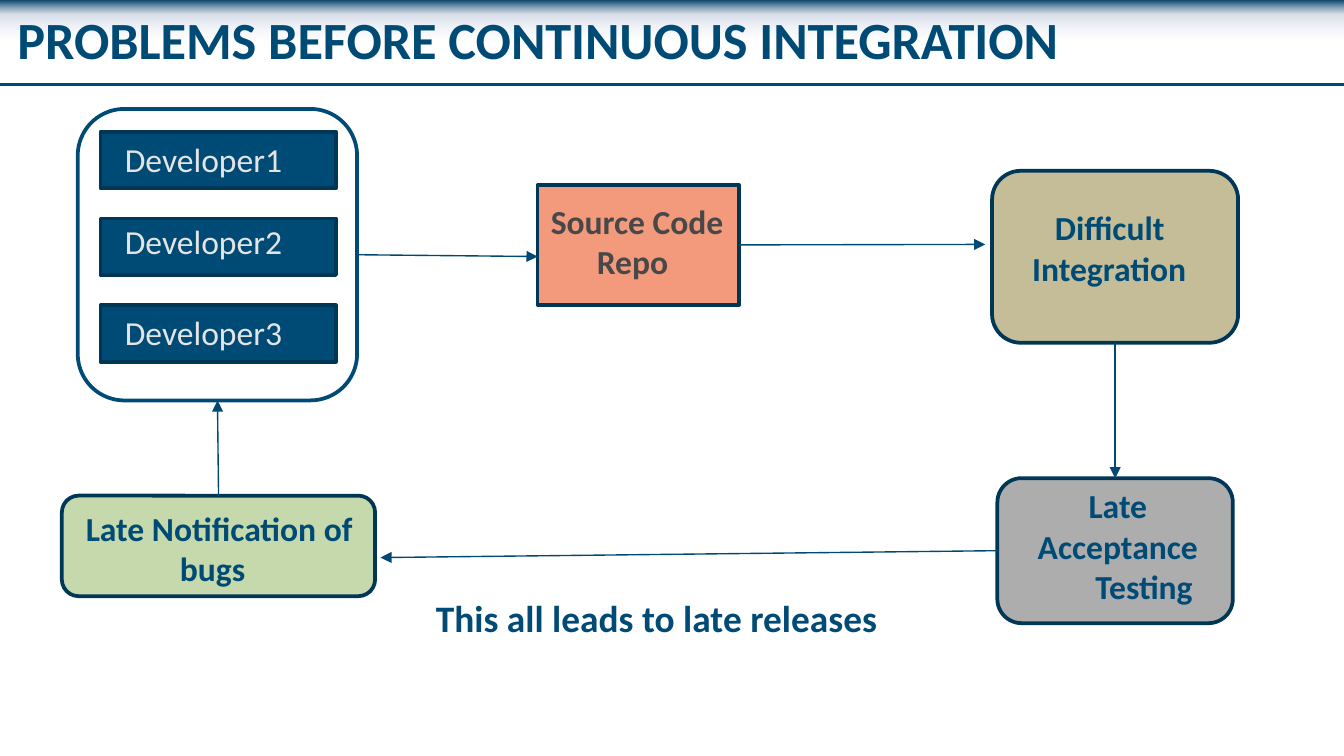
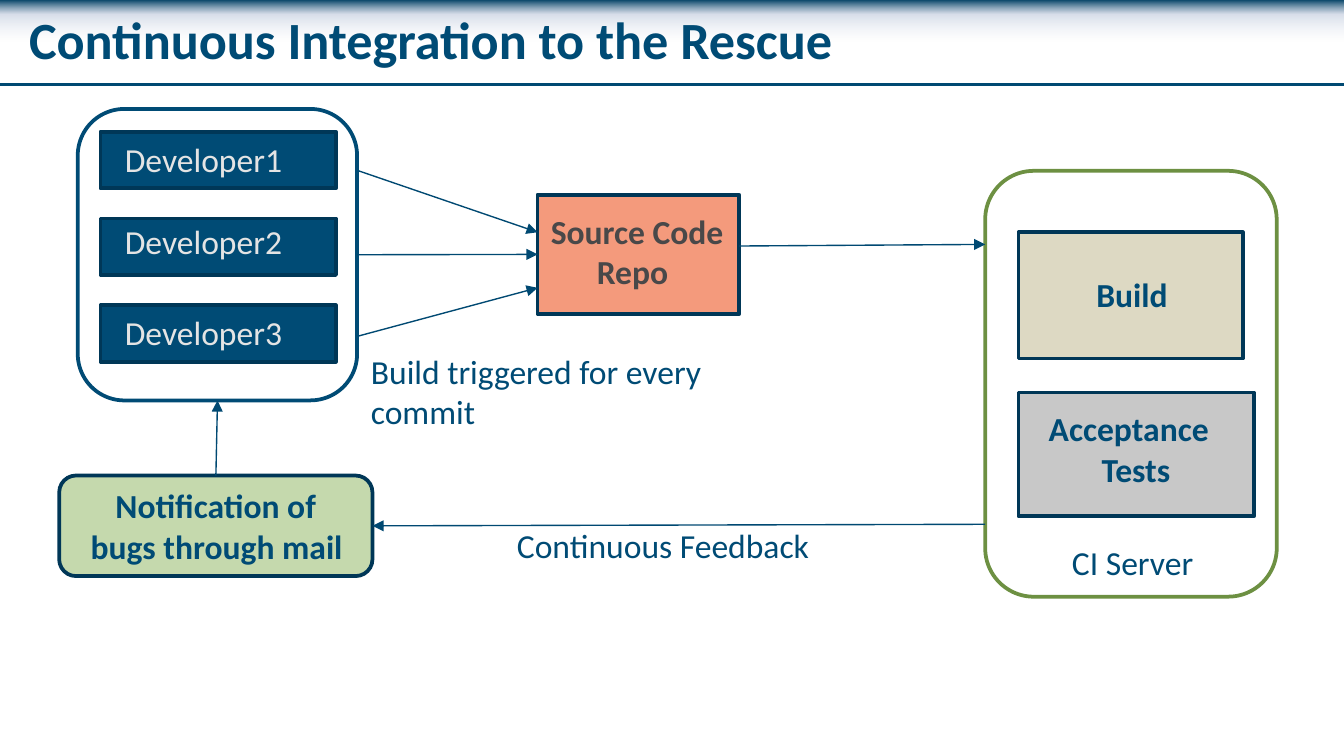
from lxml import etree
from pptx import Presentation
from pptx import util as u
from pptx.dml.color import RGBColor
from pptx.enum import shapes, text
from pptx.oxml import parse_xml
from pptx.oxml.ns import qn

NAVY, EDGE, RULE = "004B75", "003757", "004972"
PALE, GREY, CORAL, GREEN = "E4E4E4", "494849", "F49A7C", "C5D9AD"
RECT = shapes.MSO_SHAPE.RECTANGLE
ROUND = shapes.MSO_SHAPE.ROUNDED_RECTANGLE
FADE = [(0, "004065", 100), (35, "C8D1E2", 72), (100, "EAEEF4", 0)]


def tint(code):
    return RGBColor.from_string(code)


class Deck:
    """Hold the style and the current slide, and draw each kind of element."""

    def __init__(self):
        self.prs = Presentation()
        self.prs.slide_width, self.prs.slide_height = u.Cm(25.4), u.Cm(14.29)

    def page(self, title, left):
        self.slide = self.prs.slides.add_slide(self.prs.slide_layouts[6])
        self.band()
        self.rule((0, 1.59), (25.4, 1.59), 1.5)
        self.note(title, left, 0.13, 23, 1.3, 28, True)

    def band(self):
        bar = self.box(RECT, 0, 0, 25.4, 0.79, None, None)
        stops = "".join(
            f'<a:gs pos="{pos * 1000}"><a:srgbClr val="{code}">'
            f'<a:alpha val="{alpha * 1000}"/></a:srgbClr></a:gs>'
            for pos, code, alpha in FADE)
        grad = parse_xml(
            '<a:gradFill xmlns:a="http://schemas.openxmlformats.org/drawingml/2006/main">'
            f'<a:gsLst>{stops}</a:gsLst><a:lin ang="5400000" scaled="0"/></a:gradFill>')
        props = bar._element.spPr
        props.replace(props.find(qn("a:noFill")), grad)

    def box(self, kind, x, y, w, h, fill, line=EDGE):
        item = self.slide.shapes.add_shape(kind, *map(u.Cm, (x, y, w, h)))
        item.shadow.inherit = False
        if fill:
            item.fill.solid()
            item.fill.fore_color.rgb = tint(fill)
        else:
            item.fill.background()
        if line:
            item.line.color.rgb = tint(line)
            item.line.width = u.Pt(2)
        else:
            item.line.fill.background()
        return item

    def label(self, item, lines, top=0, color=NAVY, size=18, bold=True):
        """Set lines of (words, indent in cm) below a top margin."""
        frame = item.text_frame
        frame.word_wrap = True
        frame.vertical_anchor = text.MSO_ANCHOR.TOP
        frame.margin_left = frame.margin_right = frame.margin_bottom = 0
        frame.margin_top = u.Cm(top)
        frame.text = "\n".join(words for words, _ in lines)
        for para, (_, indent) in zip(frame.paragraphs, lines):
            para.alignment = text.PP_ALIGN.LEFT
            para._p.get_or_add_pPr().set("marL", str(u.Cm(indent)))
            for run in para.runs:
                font = run.font
                font.name, font.size, font.bold = "Calibri", u.Pt(size), bold
                font.color.rgb = tint(color)

    def note(self, words, x, y, w, h=0.8, size=18, bold=False):
        item = self.slide.shapes.add_textbox(*map(u.Cm, (x, y, w, h)))
        self.label(item, [(words, 0)], size=size, bold=bold)

    def rule(self, start, end, width=0.75):
        """Draw a line between ends given as (x, y) or (shape, side)."""
        ends = [(0, 0) if hasattr(a, "shape_id") else (a, b) for a, b in (start, end)]
        line = self.slide.shapes.add_connector(
            shapes.MSO_CONNECTOR.STRAIGHT, *(u.Cm(n) for spot in ends for n in spot))
        for (a, side), join in zip((start, end), (line.begin_connect, line.end_connect)):
            if hasattr(a, "shape_id"):
                join(a, side)
        line.line.color.rgb = tint(RULE)
        line.line.width = u.Pt(width)
        etree.SubElement(line._element.spPr, qn("a:effectLst"))
        return line

    def arrow(self, start, end):
        line = self.rule(start, end)
        etree.SubElement(line.line._get_or_add_ln(), qn("a:tailEnd"), type="triangle")

    def team(self):
        for i, top in enumerate((0.13, 0.05, 0.13)):
            item = self.box(RECT, 1.9, 2.49 + 1.64 * i, 4.45, 1.07, NAVY)
            self.label(item, [(f"Developer{i + 1}", 0.46)], top, PALE, bold=False)
        return self.box(ROUND, 1.47, 2.06, 5.28, 5.51, None, NAVY)

    def repo(self, y):
        item = self.box(RECT, 10.16, y, 3.81, 2.26, CORAL)
        self.label(item, [("Source Code", 0.25), ("Repo", 1.12)], 0.3, GREY)
        return item

    def bugs(self, x, y, lines, top):
        item = self.box(ROUND, x, y, 5.92, 1.9, GREEN)
        self.label(item, lines, top)
        return item


def before(deck):
    deck.page("PROBLEMS BEFORE CONTINUOUS INTEGRATION", 0.33)
    team = deck.team()
    repo = deck.repo(3.5)
    late = deck.box(ROUND, 18.85, 9.04, 4.45, 2.74, "ADADAD")
    deck.label(late, [("Late", 1.59), ("Acceptance", 0.63), ("Testing", 1.72)])
    hard = deck.box(ROUND, 18.75, 3.23, 4.65, 3.25, "C4BD97")
    deck.label(hard, [("Difficult", 1.03), ("Integration", 0.6)], 0.53)
    bugs = deck.bugs(1.17, 9.37, [("Late Notification of", 0.36), ("bugs", 2.14)], 0.14)
    for start, end in [((hard, 2), (late, 0)), ((team, 3), (10.16, 4.85)),
                       ((repo, 3), (18.62, 4.62)), ((late, 1), (7.19, 10.54)),
                       ((bugs, 0), (team, 2))]:
        deck.arrow(start, end)
    deck.note("This all leads to late releases", 8.24, 11.26, 10, 0.9, 20, True)


def after(deck):
    deck.page("Continuous Integration to the Rescue", 0.55)
    team = deck.team()
    repo = deck.repo(3.68)
    bugs = deck.bugs(1.12, 8.99, [("Notification of", 0.97), ("bugs through mail", 0.5)], 0.09)
    deck.box(ROUND, 18.62, 3.23, 5.51, 8.05, None, "6D9042")
    build = deck.box(RECT, 19.25, 4.39, 4.24, 2.39, "DDD9C3")
    deck.label(build, [("Build", 1.47)], 0.79)
    tests = deck.box(RECT, 19.25, 7.42, 4.45, 2.34, "C8C8C8")
    deck.label(tests, [("Acceptance", 0.57), ("Tests", 1.57)], 0.3)
    for start, end in [((team, 3), (repo, 1)), ((13.97, 4.65), (18.62, 4.62)),
                       ((bugs, 0), (team, 2)), ((6.78, 3.23), (10.16, 4.39)),
                       ((6.78, 6.35), (10.16, 5.44)), ((18.62, 9.91), (bugs, 3))]:
        deck.arrow(start, end)
    deck.note("Build triggered for every commit", 7.01, 6.63, 6.9, 1.55)
    deck.note("Continuous Feedback", 9.77, 9.93, 7)
    deck.note("CI Server", 20.26, 10.24, 3)


def main():
    deck = Deck()
    before(deck)
    after(deck)
    deck.prs.save("out.pptx")


if __name__ == "__main__":
    main()
